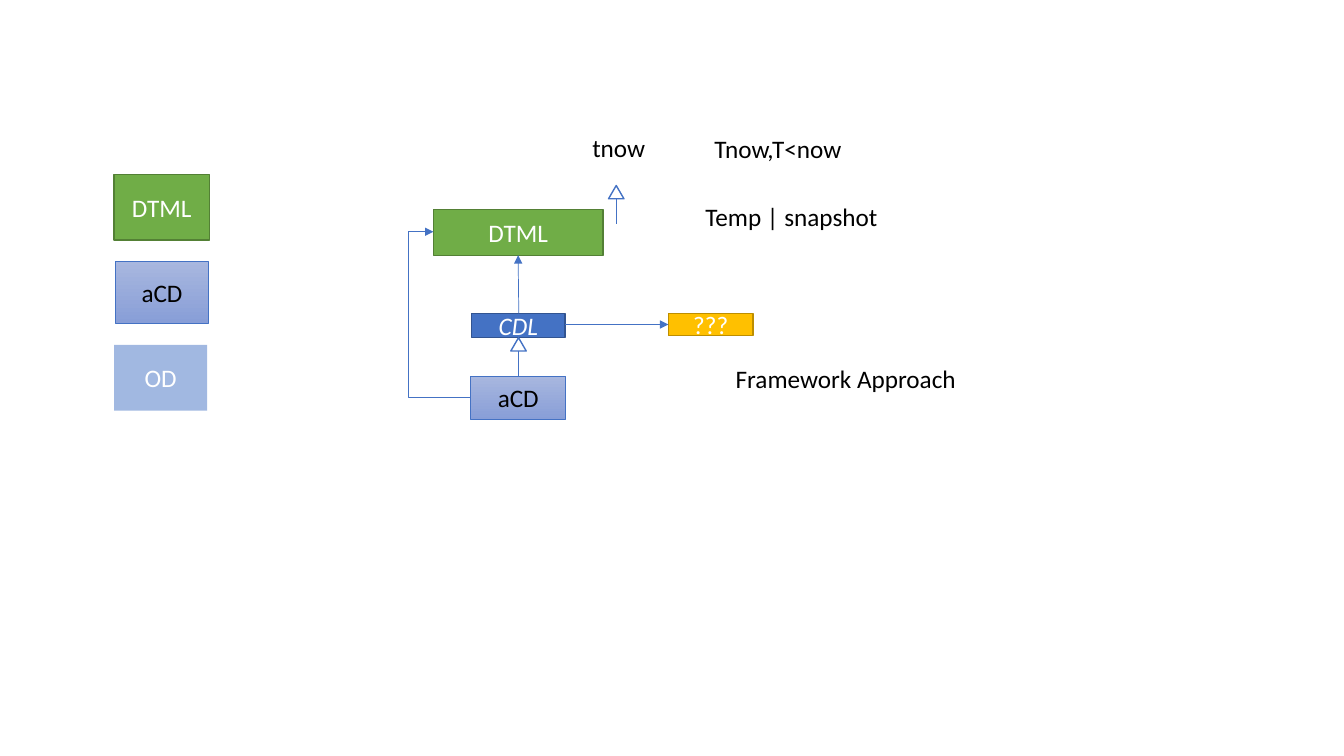
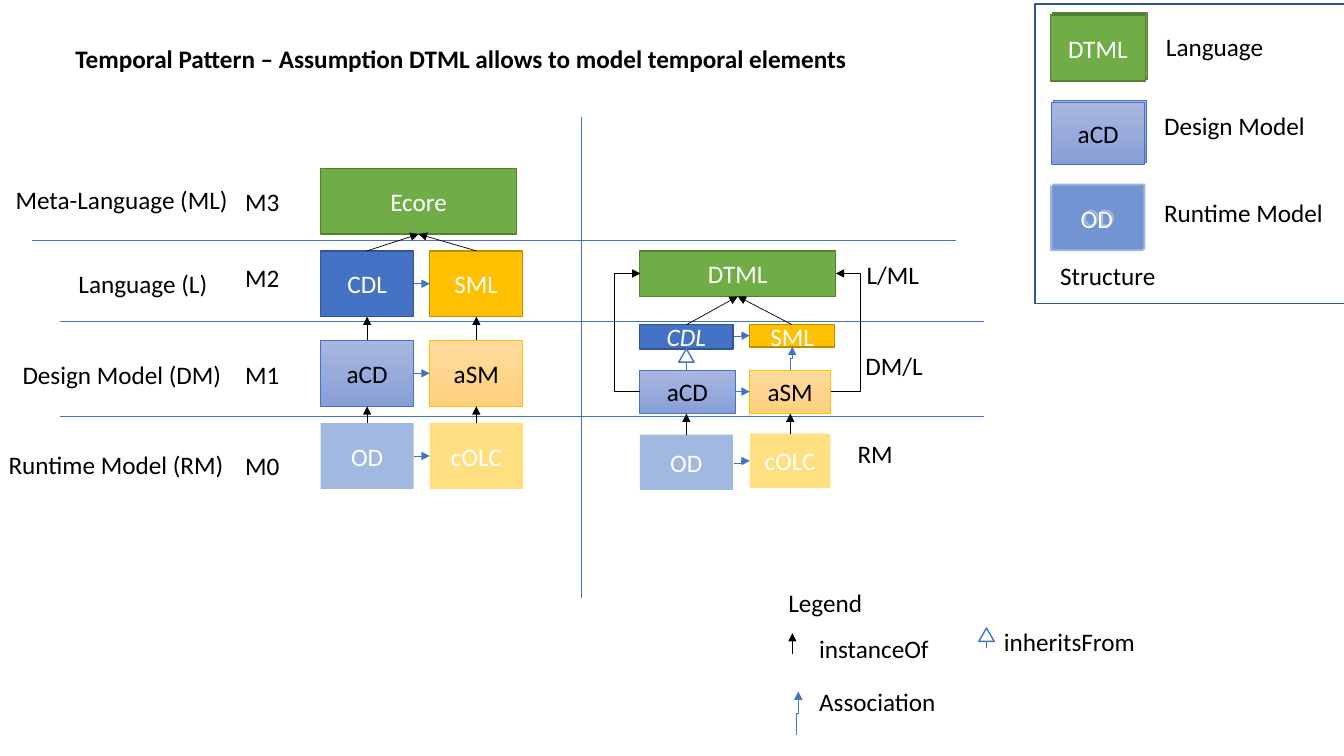
from lxml import etree
from pptx import Presentation
from pptx.dml.color import RGBColor
from pptx.enum import shapes, text
from pptx.oxml import ns
from pptx.util import Pt

BLACK, WHITE = "000000", "FFFFFF"
BLUE, GREEN, GOLD = "4472C4", "70AD47", "FFC000"

# Box styles: fill is one colour or a gradient pair, alpha is in percent
STYLES = {
    "meta": dict(fill=GREEN, line="538035", weight=1, ink=WHITE),
    "class": dict(fill=BLUE, line="325491", weight=1, ink=WHITE),
    "state": dict(fill=GOLD, line="BD8E00", weight=1, ink=WHITE),
    "class_model": dict(fill=("A8B7DF", "889ED7"), line=BLUE, weight=0.5, ink=BLACK),
    "state_model": dict(fill=("FFDB9E", "FFD07C"), line=GOLD, weight=0.5, ink=BLACK),
    "class_run": dict(fill=BLUE, alpha=50, ink=WHITE),
    "state_run": dict(fill=GOLD, alpha=50, ink=WHITE),
    "marker": dict(fill=WHITE, line=BLUE, weight=1, ink=BLACK),
    "frame": dict(line="325491", weight=1, ink=BLACK),
}


def rgb(value):
    return RGBColor.from_string(value)


def child(parent, tag, **attrs):
    return etree.SubElement(parent, ns.qn(tag), attrs)


def write(tf, words, ink, **font):
    tf.word_wrap = True
    p = tf.paragraphs[0]
    r = p.add_run()
    r.text = words
    r.font.color.rgb = rgb(ink)
    for name, value in dict(name="Calibri", size=Pt(18), **font).items():
        setattr(r.font, name, value)
    return p


class Region:
    """Part of a slide; every position is in points from its top left corner."""

    def __init__(self, s, x=0, y=0):
        self.shapes, self.x, self.y = s.shapes, x, y

    def at(self, x, y):
        return Pt(self.x + x), Pt(self.y + y)

    def box(self, style, x, y, w, h, words="",
            preset=shapes.MSO_SHAPE.RECTANGLE, **font):
        look = STYLES[style]
        sp = self.shapes.add_shape(preset, *self.at(x, y), Pt(w), Pt(h))
        sp.shadow.inherit = False
        fill = look.get("fill")
        if fill is None:
            sp.fill.background()
        elif isinstance(fill, tuple):
            sp.fill.gradient()
            sp.fill.gradient_angle = 270
            for i, (stop, color) in enumerate(zip(sp.fill.gradient_stops, fill)):
                stop.color.rgb = rgb(color)
                stop.position = i
        else:
            sp.fill.solid()
            sp.fill.fore_color.rgb = rgb(fill)
        if "alpha" in look:
            color = sp._element.spPr.find(ns.qn("a:solidFill"))[0]
            child(color, "a:alpha", val=str(look["alpha"] * 1000))
        if "line" in look:
            sp.line.color.rgb = rgb(look["line"])
            sp.line.width = Pt(look["weight"])
        else:
            sp.line.fill.background()
        if words:
            p = write(sp.text_frame, words, look["ink"], **font)
            p.alignment = text.PP_ALIGN.CENTER
            sp.text_frame.vertical_anchor = text.MSO_ANCHOR.MIDDLE

    def label(self, words, x, y, w, **font):
        sp = self.shapes.add_textbox(*self.at(x, y), Pt(w), Pt(29))
        write(sp.text_frame, words, BLACK, **font)

    def line(self, x1, y1, x2, y2, color=BLUE, head=False,
             kind=shapes.MSO_CONNECTOR.STRAIGHT):
        c = self.shapes.add_connector(kind, *self.at(x1, y1), *self.at(x2, y2))
        c.line.color.rgb = rgb(color)
        c.line.width = Pt(0.5)
        if head:
            child(c.line._get_or_add_ln(), "a:tailEnd", type="triangle")
        child(c._element.spPr, "a:effectLst")
        return c

    def arrow(self, x1, y1, x2, y2, color=BLUE):
        self.line(x1, y1, x2, y2, color, True)

    def elbow(self, x1, y1, x2, y2, color=BLUE, via=None):
        """Leaves sideways and turns at x = via, or halfway."""
        c = self.line(x1, y1, x2, y2, color, True, shapes.MSO_CONNECTOR.ELBOW)
        if via is not None:
            ratio = round((via - x1) / (x2 - x1) * 100000)
            guides = c._element.spPr.find(ns.qn("a:prstGeom")).find(ns.qn("a:avLst"))
            child(guides, "a:gd", name="adj1", fmla=f"val {ratio}")

    def upright_elbow(self, x1, y1, x2, y2):
        """Leaves vertically: a sideways elbow given a quarter turn."""
        cx, cy = (x1 + x2) / 2, (y1 + y2) / 2
        dx, dy = (y2 - y1) / 2, (x1 - x2) / 2
        c = self.line(cx - dx, cy - dy, cx + dx, cy + dy, BLUE, True,
                      shapes.MSO_CONNECTOR.ELBOW)
        c._element.spPr.find(ns.qn("a:xfrm")).set("rot", "5400000")

    def inherits(self, x, tip, foot):
        self.box("marker", x - 5.5, tip, 11, 9.5,
                 preset=shapes.MSO_SHAPE.ISOSCELES_TRIANGLE)
        self.line(x, tip + 9.5, x, foot)


def key_boxes(s, x, y):
    g = Region(s, x, y)
    g.box("meta", 0, 0, 68, 47, "DTML")
    g.box("class_model", 1, 62.3, 66.5, 44, "aCD")
    g.box("class_run", 0, 121.7, 66.5, 47, "OD")


def framework_diagram(s, x, y):
    g = Region(s, x, y)
    g.box("class_model", 26.6, 118.8, 68, 31, "aCD")
    g.box("class", 27.4, 74.1, 66.5, 17.3, "CDL", italic=True)
    g.box("meta", 0, 0, 121, 32.5, "DTML")
    g.box("state", 167.8, 74.1, 60.5, 16, "???")
    g.inherits(60.8, 91.4, 118.8)
    g.inherits(130.6, -17.3, 10)
    g.arrow(61, 74.1, 60.5, 32.5)
    g.arrow(94, 82, 167.8, 82)
    g.elbow(26.6, 133.9, 0, 15.8, via=-18)


def four_level_diagram(s, x, y):
    g = Region(s, x, y)
    w, h, pitch, top_w = 66.5, 47, 78, 140
    rows = [
        (59, [("class", "CDL"), ("state", "SML")]),
        (123, [("class_model", "aCD"), ("state_model", "aSM")]),
        (182, [("class_run", "OD"), ("state_run", "cOLC")]),
    ]
    g.box("meta", 0, 0, top_w, h, "Ecore")
    above = 0
    for top, cells in rows:
        for col, (style, words) in enumerate(cells):
            left = col * pitch
            g.box(style, left, top, w, h, words)
            mid = left + w / 2
            g.arrow(mid, top, mid if above else top_w / 2, above + h, BLACK)
        g.arrow(w, top + h / 2, pitch, top + h / 2)
        above = top


def two_level_diagram(s, x, y):
    g = Region(s, x, y)
    right, mid, state_mid = 78.6, 33.3, 107.5
    g.box("meta", 0, 0, 140, 32.5, "DTML")
    g.box("class_model", 0, 85.2, 68, 31, "aCD")
    g.box("state", right, 52.8, 60.5, 16, "SML")
    g.box("class", 0, 52.8, 66.5, 17.3, "CDL", italic=True)
    g.box("state_model", right, 85.2, 57.6, 31, "aSM")
    g.box("class_run", 0, 131.3, 66.5, 39.5, "OD")
    g.box("state_run", right, 130.5, 57.6, 39, "cOLC")
    # Associations and inheritance
    g.elbow(67, 61.2, right, 60.5)
    g.arrow(68, 100.5, right, 100.5)
    g.elbow(67, 151.5, right, 150)
    g.upright_elbow(state_mid, 85.2, 108.9, 68.4)
    g.inherits(mid, 70, 85.2)
    # Instance arrows
    g.arrow(mid, 131.3, mid, 116.2, BLACK)
    g.arrow(state_mid, 130.5, state_mid, 116.2, BLACK)
    for start in (mid, 108.9):
        g.arrow(start, 52.8, 70, 32.5, BLACK)
    g.elbow(0, 100.5, 0.5, 16.2, BLACK, via=-18)
    g.elbow(136.5, 100.5, 140, 16.2, BLACK, via=158)


def level_grid(s, x, y):
    g = Region(s, x, y)
    names = [("Meta-Language (ML)", 4, 128, 179), ("Language (L)", 49, 188, 111),
             ("Design Model (DM)", 9, 253, 161), ("Runtime Model (RM)", -1, 317.5, 179),
             ("L/ML", 612, 182, 124), ("DM/L", 611, 247, 124), ("RM", 605.5, 309.5, 124)]
    for words, left, top, w in names:
        g.label(words, left, top, w)
    for level, top in enumerate((318, 253, 184, 129.5)):
        g.label(f"M{level}", 168, top, 41)
    for left, top in ((23, 172), (43.2, 229.7), (43.2, 297.4)):
        g.line(left, top, left + 660, top)
    g.line(415.4, 83.5, 415.4, 427)


def structure_key(s, x, y):
    g = Region(s, x, y)
    key_boxes(s, x + 12.3, y + 6.5)
    key_boxes(s, x + 10.8, y + 7.9)
    for words, left, top, w in (("Language", 86.4, 16, 92), ("Design Model", 85, 72, 124),
                                ("Runtime Model", 85, 134.6, 129), ("Structure", 10.8, 179.3, 85)):
        g.label(words, left, top, w)
    g.box("frame", 0, 0, 221, 214)


def arrow_legend(s, x, y):
    g = Region(s, x, y)
    g.label("Legend", 0, 0, 88)
    g.arrow(10, 51.3, 10, 36.2, BLACK)
    g.label("instanceOf", 22, 32.5, 110)
    g.upright_elbow(12.8, 108.9, 14.2, 78)
    g.label("Association", 22, 70.7, 110)
    g.inherits(148.7, 32.6, 47)
    g.label("inheritsFrom", 154, 27.5, 110)


def framework_slide(s):
    framework_diagram(s, 309.6, 149.8)
    key_boxes(s, 81.5, 124.6)
    g = Region(s)
    for words, left, top, w in (("tnow", 416, 90.7, 60.5), ("Tnow,T<now", 503.3, 92, 152),
                                ("Temp | snapshot", 496.8, 140.4, 165),
                                ("Framework Approach", 518.4, 256.3, 208)):
        g.label(words, left, top, w)


def pattern_slide(s):
    level_grid(s, 0, 0)
    four_level_diagram(s, 229, 120.2)
    two_level_diagram(s, 457, 179.2)
    structure_key(s, 739.4, 2.9)
    arrow_legend(s, 556, 416)
    Region(s).label("Temporal Pattern – Assumption DTML allows to model temporal elements",
                    46.8, 27.4, 592, bold=True)


def main():
    prs = Presentation()
    prs.slide_width, prs.slide_height = Pt(960), Pt(540)
    for build in (framework_slide, pattern_slide):
        build(prs.slides.add_slide(prs.slide_layouts[6]))
    prs.save("out.pptx")


if __name__ == "__main__":
    main()
